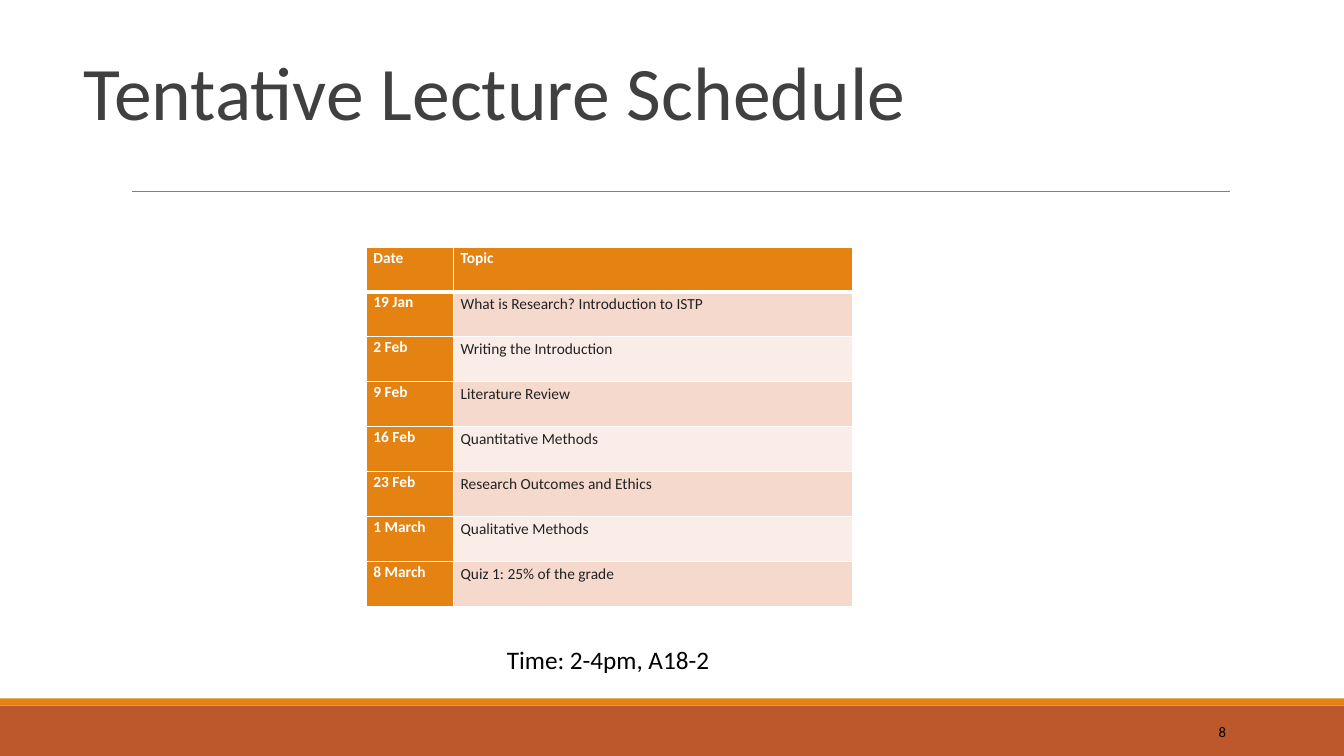
from dataclasses import dataclass

import pptx
import pptx.dml.color
import pptx.enum.shapes
import pptx.enum.text
import pptx.oxml
import pptx.oxml.ns
import pptx.util

Pt = pptx.util.Pt
ALIGN = pptx.enum.text.PP_ALIGN
ANCHOR = pptx.enum.text.MSO_ANCHOR


@dataclass(frozen=True)
class Theme:
    """Hold the font, colours and type sizes."""
    font: str = "Calibri"
    rust: str = "BD582C"
    orange: str = "E48312"
    rule: str = "808080"
    title: str = "404040"
    black: str = "000000"
    white: str = "FFFFFF"
    body: str = "222222"
    bands: tuple = ("F5D9CC", "FAEDE7")
    big: float = 54
    note: float = 18
    cell: float = 11
    page: float = 10.5


THEME = Theme()
ROWS = [
    ("Date", "Topic"),
    ("19 Jan", "What is Research? Introduction to ISTP"),
    ("2 Feb", "Writing the Introduction"),
    ("9 Feb", "Literature Review"),
    ("16 Feb", "Quantitative Methods"),
    ("23 Feb", "Research Outcomes and Ethics"),
    ("1 March", "Qualitative Methods"),
    ("8 March", "Quiz 1: 25% of the grade"),
]


def paint(fill, color):
    """Set a solid fill."""
    fill.solid()
    fill.fore_color.rgb = pptx.dml.color.RGBColor.from_string(color)


def write(frame, text, size, color, bold=False, align=ALIGN.LEFT):
    """Add one run to the first paragraph and return the paragraph."""
    para = frame.paragraphs[0]
    para.alignment = align
    run = para.add_run()
    run.text = text
    run.font.name = THEME.font
    run.font.size = Pt(size)
    run.font.bold = bold
    paint(run.font.fill, color)
    return para


def space(para, line, before, after):
    """Set the spacing of a paragraph."""
    para.line_spacing = line
    para.space_before = Pt(before)
    para.space_after = Pt(after)


def add_bar(slide, top, height, color):
    """Add a bar across the slide."""
    bar = slide.shapes.add_shape(
        pptx.enum.shapes.MSO_SHAPE.RECTANGLE, 0, Pt(top), Pt(960), Pt(height))
    bar.shadow.inherit = False
    paint(bar.fill, color)
    bar.line.fill.background()


def add_rule(slide, left, right, top):
    """Add the thin line below the title."""
    rule = slide.shapes.add_connector(
        pptx.enum.shapes.MSO_CONNECTOR.STRAIGHT,
        Pt(left), Pt(top), Pt(right), Pt(top))
    rule.line.width = Pt(0.5)
    paint(rule.line.fill, THEME.rule)
    pptx.oxml.ns.qn("a:effectLst")
    rule.element.spPr.append(pptx.oxml.parse_xml(
        f'<a:effectLst {pptx.oxml.ns.nsdecls("a")}/>'))


def set_title(slide, text):
    """Place and format the title."""
    title = slide.shapes.title
    title.left, title.top = Pt(48), Pt(36)
    title.width, title.height = Pt(864), Pt(90)
    frame = title.text_frame
    frame.auto_size = pptx.enum.text.MSO_AUTO_SIZE.NONE
    frame.vertical_anchor = ANCHOR.TOP
    frame.margin_left, frame.margin_right = Pt(12), 0
    space(write(frame, text, THEME.big, THEME.title), 0.9, 12, 2)


def add_text(slide, box, text, size, align=ALIGN.LEFT, wrap=True):
    """Add a text box with one line of text."""
    frame = slide.shapes.add_textbox(*map(Pt, box)).text_frame
    frame.word_wrap = wrap
    frame.vertical_anchor = ANCHOR.MIDDLE
    write(frame, text, size, THEME.black, align=align)


def edge(cell, low):
    """Give a cell white borders, with its own width at the bottom."""
    props = cell._tc.get_or_add_tcPr()
    for spot, (side, width) in enumerate(zip("LRTB", (1, 1, 1, low))):
        props.insert(spot, pptx.oxml.parse_xml(
            f'<a:ln{side} {pptx.oxml.ns.nsdecls("a")} w="{Pt(width)}">'
            f'<a:solidFill><a:srgbClr val="{THEME.white}"/></a:solidFill>'
            f'</a:ln{side}>'))


def add_plan(slide, left, top, widths, step):
    """Add the schedule table."""
    table = slide.shapes.add_table(
        len(ROWS), len(widths), Pt(left), Pt(top),
        Pt(sum(widths)), Pt(step * len(ROWS))).table
    table.horz_banding = False
    for col, width in zip(table.columns, widths):
        col.width = Pt(width)
    for row, texts in enumerate(ROWS):
        table.rows[row].height = Pt(step)
        for col, text in enumerate(texts):
            cell = table.cell(row, col)
            head = row == 0 or col == 0
            paint(cell.fill, THEME.orange if head else THEME.bands[(row - 1) % 2])
            edge(cell, 3 if row == 0 else 1)
            cell.margin_left = cell.margin_right = Pt(5)
            cell.margin_top = cell.margin_bottom = 0
            para = write(cell.text_frame, text, THEME.cell,
                         THEME.white if head else THEME.body, head)
            space(para, 1.07 if head else 1.15, 0, 8 if head else 10)


def main():
    """Build the slide and save it."""
    deck = pptx.Presentation()
    deck.slide_width, deck.slide_height = Pt(960), Pt(540)
    slide = deck.slides.add_slide(deck.slide_layouts[5])
    add_bar(slide, 504, 36, THEME.rust)
    add_bar(slide, 498.75, 5.25, THEME.orange)
    add_rule(slide, 94.3, 878.8, 136.5)
    set_title(slide, "Tentative Lecture Schedule")
    add_text(slide, (780, 508.5, 102.75, 28.75), "8", THEME.page, ALIGN.RIGHT)
    add_plan(slide, 261.7, 176.4, (62.3, 285), 32.1)
    add_text(slide, (355, 456.7, 160.5, 29), "Time: 2-4pm, A18-2",
             THEME.note, wrap=False)
    deck.save("out.pptx")


if __name__ == "__main__":
    main()
